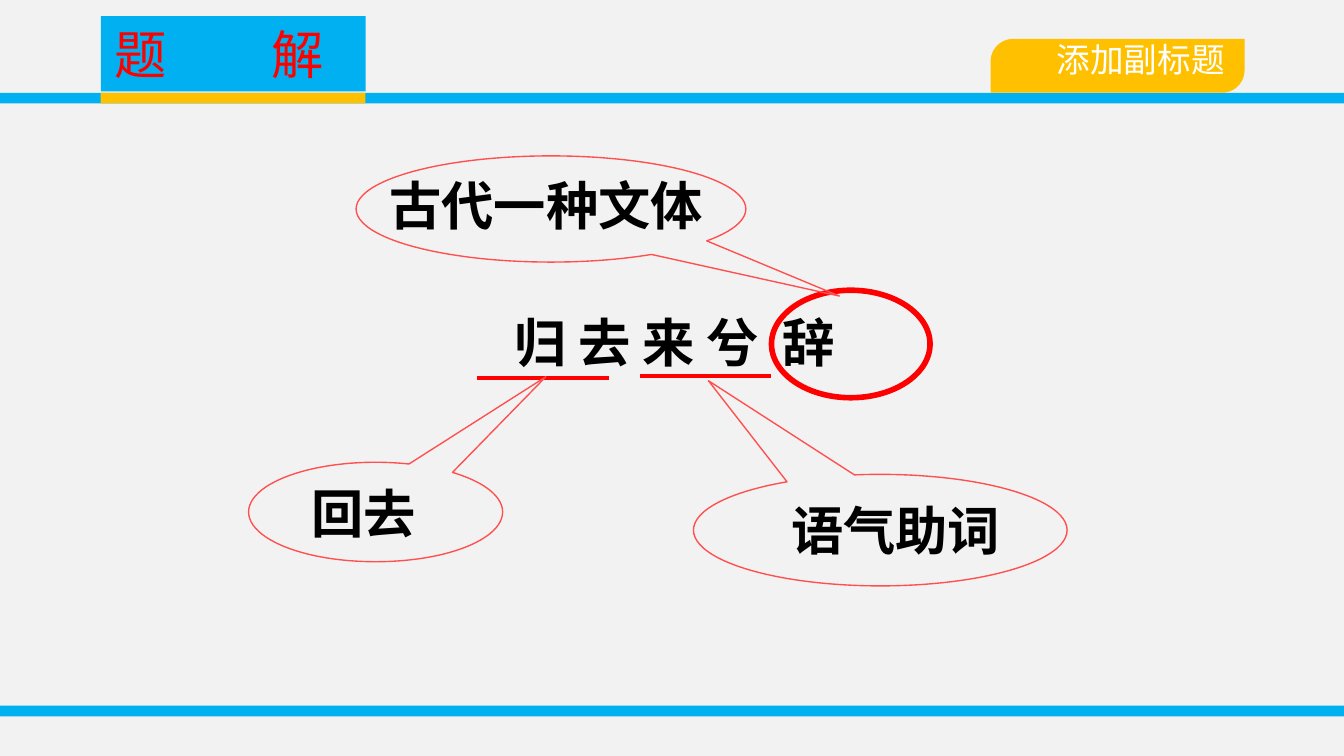
from lxml import etree
from pptx import Presentation, util as u
from pptx.dml.color import RGBColor
from pptx.enum import shapes, text
from pptx.oxml.ns import qn

BLUE = RGBColor(0x00, 0xB0, 0xF0)
GOLD = RGBColor(0xFF, 0xC0, 0x00)
RED = RGBColor(0xFF, 0x00, 0x00)
CORAL = RGBColor(0xFF, 0x50, 0x50)
PALE = RGBColor(0xF2, 0xF2, 0xF2)
BLACK = RGBColor(0x00, 0x00, 0x00)
WHITE = RGBColor(0xFF, 0xFF, 0xFF)
SHAPE = shapes.MSO_SHAPE


def inches(*lengths):
    return [u.Inches(n) for n in lengths]


def set_font(p, size, color, name="Arial", bold=False):
    p.font.name, p.font.size, p.font.bold = name, u.Pt(size), bold
    p.font.color.rgb = color


def add_filled(s, kind, box, color):
    sp = s.shapes.add_shape(kind, *inches(*box))
    sp.shadow.inherit = False
    sp.fill.solid()
    sp.fill.fore_color.rgb = color
    sp.line.fill.background()
    return sp


def add_outline(s, kind, box, color, width, tip=()):
    """Add an unfilled shape; tip is a callout's pointer offset from its centre."""
    sp = s.shapes.add_shape(kind, *inches(*box))
    sp.shadow.inherit = False
    sp.fill.background()
    sp.line.color.rgb = color
    sp.line.width = u.Pt(width)
    for i, value in enumerate(tip):
        sp.adjustments[i] = value


def add_label(s, words, box, name="Arial", align=text.PP_ALIGN.LEFT):
    tf = s.shapes.add_textbox(*inches(*box)).text_frame
    tf.word_wrap = True
    p = tf.paragraphs[0]
    p.text, p.alignment = words, align
    set_font(p, 28, BLACK, name, bold=True)


def add_underline(s, left, top, width):
    line = s.shapes.add_connector(
        shapes.MSO_CONNECTOR.STRAIGHT, *inches(left, top, left + width, top))
    line.line.color.rgb = RED
    line.line.width = u.Pt(2.25)
    etree.SubElement(line._element.spPr, qn("a:effectLst"))


def set_title(s):
    sp = s.shapes.title
    sp.left, sp.top, sp.width, sp.height = inches(0.75, 0.12, 1.97, 0.56)
    sp.fill.solid()
    sp.fill.fore_color.rgb = BLUE
    tf = sp.text_frame
    tf.auto_size = text.MSO_AUTO_SIZE.NONE
    tf.vertical_anchor = text.MSO_ANCHOR.MIDDLE
    p = tf.paragraphs[0]
    p.text, p.alignment = "题\t解", text.PP_ALIGN.LEFT
    tabs = etree.SubElement(p._p.get_or_add_pPr(), qn("a:tabLst"))
    etree.SubElement(tabs, qn("a:tab"), pos=str(u.Inches(1.17)), algn="l")
    set_font(p, 28, RED)


def add_subtitle_tab(s):
    sp = add_filled(s, SHAPE.ROUND_2_DIAG_RECTANGLE, (7.37, 0.29, 1.89, 0.4), GOLD)
    sp.adjustments[0] = 0.42
    tf = sp.text_frame
    tf.vertical_anchor = text.MSO_ANCHOR.MIDDLE
    tf.margin_top = 0
    tf.margin_right = tf.margin_bottom = u.Inches(0.1)
    p = tf.paragraphs[0]
    p.text, p.alignment = "添加副标题", text.PP_ALIGN.RIGHT
    set_font(p, 18, WHITE)


def main():
    prs = Presentation()
    prs.slide_width = u.Inches(10)
    prs.slide_height = prs.slide_width * 9 // 16
    s = prs.slides.add_slide(prs.slide_layouts[5])
    s.background.fill.solid()
    s.background.fill.fore_color.rgb = PALE

    for left, top, width, color in ((0, 5.25, 10, BLUE), (0, 0.69, 10, BLUE),
                                    (0.75, 0.69, 1.97, GOLD)):
        add_filled(s, SHAPE.RECTANGLE, (left, top, width, 0.08), color)
    set_title(s)
    add_subtitle_tab(s)

    add_label(s, "归 去 来 兮  辞", (1.81, 2.26, 6.42, 0.83),
              align=text.PP_ALIGN.CENTER)
    add_underline(s, 3.55, 2.81, 0.98)
    add_underline(s, 4.76, 2.8, 0.98)
    add_outline(s, SHAPE.OVAL, (5.74, 2.16, 1.18, 0.8), RED, 3)

    notes = (
        ("回去", (2.22, 3.53, 1.52, 0.57), "Arial",
         (1.85, 3.44, 1.89, 0.74), (0.67, -1.36)),
        ("语气助词", (5.79, 3.66, 2.36, 0.57), "Calibri",
         (5.16, 3.53, 2.78, 0.83), (-0.46, -1.34)),
        ("古代一种文体", (2.8, 1.24, 2.76, 0.57), "Arial",
         (2.65, 1.16, 2.9, 0.79), (0.74, 0.82)),
    )
    for words, label_box, name, callout_box, tip in notes:
        add_outline(s, SHAPE.OVAL_CALLOUT, callout_box, CORAL, 0.75, tip)
        add_label(s, words, label_box, name)

    prs.save("out.pptx")


if __name__ == "__main__":
    main()
